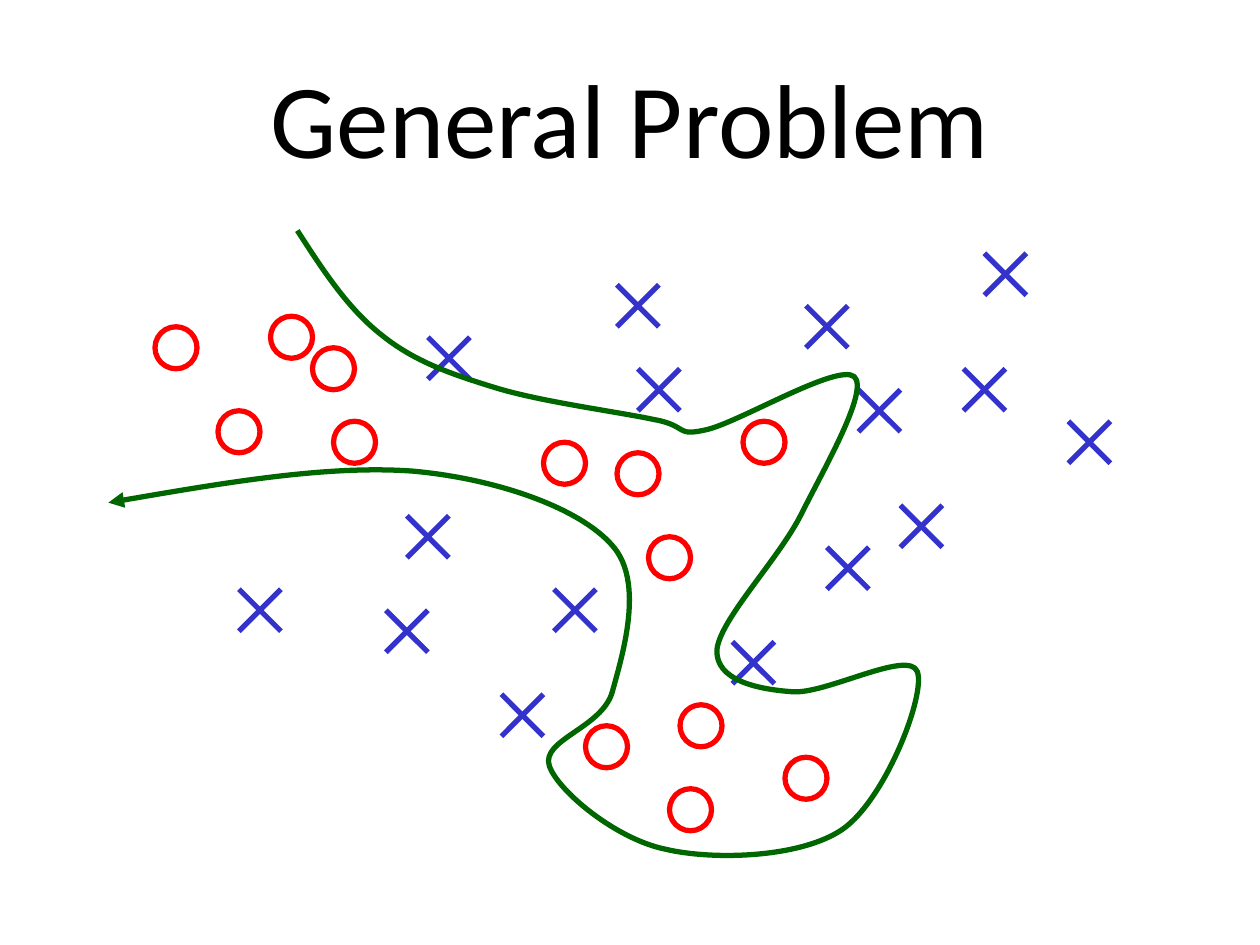
from dataclasses import dataclass

from lxml.etree import SubElement
from pptx import Presentation
from pptx.dml.color import RGBColor
from pptx.enum.shapes import MSO_CONNECTOR, MSO_SHAPE
from pptx.enum.text import MSO_ANCHOR, PP_ALIGN
from pptx.oxml.ns import qn
from pptx.util import Inches, Pt


@dataclass(frozen=True)
class Theme:
    font: str = "Calibri"
    title_size: int = 60
    line_width: int = 3
    text: RGBColor = RGBColor(0x00, 0x00, 0x00)
    cross: RGBColor = RGBColor(0x33, 0x33, 0xCC)
    circle: RGBColor = RGBColor(0xFF, 0x00, 0x00)
    boundary: RGBColor = RGBColor(0x00, 0x66, 0x00)


# Marks sit on a grid of twelve cells to the inch; each is four cells wide
GRID_LEFT, GRID_TOP = 1.23, 2.01
CELL = 1 / 12
MARK_CELLS = 4

# Upper left corner of each mark, as (column, row)
CROSSES = [
    (26, 8), (22, 34), (24, 25), (44, 3), (62, 5), (87, 16), (71, 24), (55, 37),
    (64, 28), (79, 0), (38, 32), (46, 11), (33, 42), (77, 11), (67, 13), (8, 32),
]
CIRCLES = [
    (44, 19), (56, 16), (37, 18), (47, 27), (41, 45), (11, 6), (15, 9),
    (0, 7), (6, 15), (17, 16), (50, 43), (49, 51), (60, 48),
]

# Boundary in inches: its start, then two control points and an end per curve
BOUNDARY_START = (0.86, 3.99)
BOUNDARY_CURVES = [
    [(1.73, 3.84), (2.61, 3.69), (3.28, 3.74)],
    [(3.94, 3.80), (4.60, 4.03), (4.86, 4.33)],
    [(5.12, 4.62), (4.94, 5.20), (4.86, 5.49)],
    [(4.78, 5.78), (4.29, 5.87), (4.36, 6.08)],
    [(4.43, 6.28), (4.89, 6.66), (5.28, 6.74)],
    [(5.66, 6.83), (6.36, 6.81), (6.69, 6.58)],
    [(7.03, 6.34), (7.35, 5.51), (7.28, 5.33)],
    [(7.21, 5.15), (6.54, 5.52), (6.28, 5.49)],
    [(6.01, 5.47), (5.68, 5.40), (5.69, 5.16)],
    [(5.71, 4.92), (6.18, 4.44), (6.36, 4.08)],
    [(6.54, 3.72), (6.90, 3.10), (6.78, 2.99)],
    [(6.65, 2.88), (5.87, 3.35), (5.61, 3.41)],
    [(5.35, 3.47), (5.47, 3.38), (5.19, 3.33)],
    [(4.91, 3.27), (4.30, 3.19), (3.94, 3.08)],
    [(3.58, 2.97), (3.29, 2.87), (3.03, 2.66)],
    [(2.76, 2.45), (2.56, 2.14), (2.36, 1.83)],
]


class SlideBuilder:
    def __init__(self, deck, theme):
        self.deck = deck
        self.theme = theme
        self.slide = deck.slides.add_slide(deck.slide_layouts[6])
        self.marks = self.slide.shapes.add_group_shape().shapes

    def grid_point(self, column, row):
        return Inches(GRID_LEFT + column * CELL), Inches(GRID_TOP + row * CELL)

    def style_line(self, line, color):
        line.color.rgb = color
        line.width = Pt(self.theme.line_width)

    def title(self, text, left, top, width, height):
        """Place a centred title; lengths are shares of the slide's size."""
        page_width, page_height = self.deck.slide_width, self.deck.slide_height
        box = self.slide.shapes.add_textbox(
            int(left * page_width), int(top * page_height),
            int(width * page_width), int(height * page_height))
        frame = box.text_frame
        frame.word_wrap = True
        frame.vertical_anchor = MSO_ANCHOR.MIDDLE
        frame.text = text
        para = frame.paragraphs[0]
        para.alignment = PP_ALIGN.CENTER
        font = para.runs[0].font
        font.name = self.theme.font
        font.size = Pt(self.theme.title_size)
        font.color.rgb = self.theme.text

    def cross(self, column, row):
        right, bottom = column + MARK_CELLS, row + MARK_CELLS
        for start, end in [((right, row), (column, bottom)),
                           ((column, row), (right, bottom))]:
            stroke = self.marks.add_connector(
                MSO_CONNECTOR.STRAIGHT,
                *self.grid_point(*start), *self.grid_point(*end))
            self.style_line(stroke.line, self.theme.cross)
            SubElement(stroke.line._get_or_add_ln().getparent(), qn("a:effectLst"))

    def circle(self, column, row):
        size = Inches(MARK_CELLS * CELL)
        ring = self.marks.add_shape(
            MSO_SHAPE.OVAL, *self.grid_point(column, row), size, size)
        ring.shadow.inherit = False
        ring.fill.background()
        self.style_line(ring.line, self.theme.circle)

    def curved_arrow(self, start, curves):
        """Draw joined Bezier curves with an arrowhead at the start."""
        builder = self.slide.shapes.build_freeform(*map(Inches, start))
        points = [point for curve in curves for point in curve]
        builder.add_line_segments(
            [(Inches(x), Inches(y)) for x, y in points], close=False)
        arrow = builder.convert_to_shape()
        arrow.shadow.inherit = False
        arrow.fill.background()
        self.style_line(arrow.line, self.theme.boundary)
        SubElement(arrow.line._get_or_add_ln(), qn("a:headEnd"), type="triangle")

        # Gather every three straight segments into one curve
        outline = arrow._element.find(".//" + qn("a:path"))
        segments = outline.findall(qn("a:lnTo"))
        for first in range(0, len(segments), 3):
            curve = SubElement(outline, qn("a:cubicBezTo"))
            for segment in segments[first:first + 3]:
                curve.append(segment[0])
                outline.remove(segment)


def main():
    deck = Presentation()
    deck.slide_width, deck.slide_height = Inches(10), Inches(7.5)
    page = SlideBuilder(deck, Theme())

    # Title
    page.title("General Problem", 0.05, 0.04, 0.9, 1 / 6)

    # Samples of the two classes
    for column, row in CROSSES:
        page.cross(column, row)
    for column, row in CIRCLES:
        page.circle(column, row)

    # Decision boundary
    page.curved_arrow(BOUNDARY_START, BOUNDARY_CURVES)

    deck.save("out.pptx")


if __name__ == "__main__":
    main()
